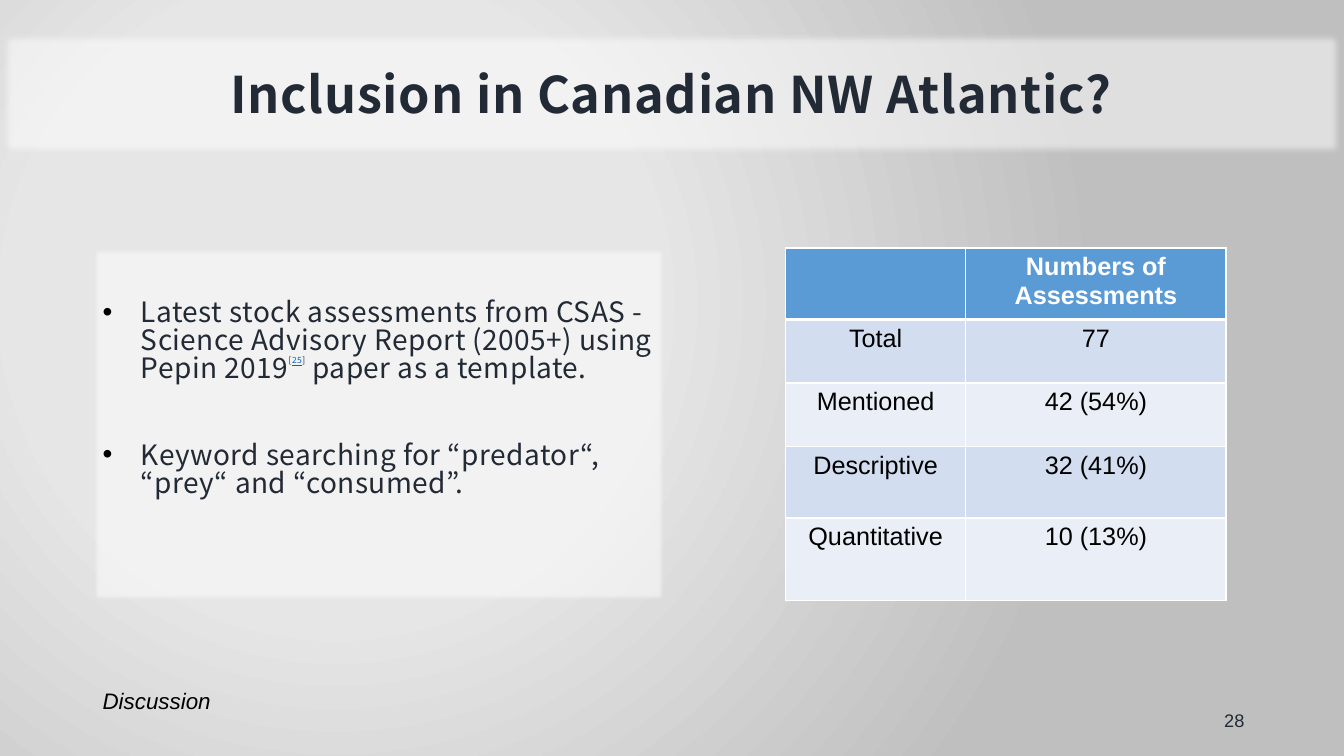
from lxml import etree
from pptx import Presentation
from pptx.dml.color import RGBColor
from pptx.enum.shapes import MSO_SHAPE as Shape
from pptx.enum.text import MSO_ANCHOR as Anchor, PP_ALIGN as Align
from pptx.oxml import parse_xml
from pptx.oxml.ns import nsdecls, qn
from pptx.util import Inches, Pt

# Content
COLORS = {"ink": "222A35", "black": "000000", "white": "FFFFFF", "link": "0563C1",
          "header": "5B9BD5", "band_dark": "D2DEEF", "band_light": "EAEFF7"}
GRADIENT = [(0, "E8E7E7"), (41, "E7E6E6"), (100, "C0BFBF")]
HEADING_FONT, PLAIN_FONT = "Noto Sans CJK JP", "Arial"

TITLE = {"size": 36, "name": HEADING_FONT, "color": "ink", "bold": True, "spacing": 0.5}
BODY = {"size": 20, "name": HEADING_FONT, "color": "ink", "spacing": 0.3}
CITATION = {**BODY, "size": 10.5, "raised": 100}
CITATION_LINK = {**CITATION, "color": "link", "underline": True}
CELL = {"size": 18, "name": PLAIN_FONT, "color": "black", "bold": False}
HEADER_CELL = {**CELL, "color": "white", "bold": True}
FOOTER = {"size": 16, "name": PLAIN_FONT, "color": "black", "italic": True}
NUMBER = {"size": 13, "name": PLAIN_FONT, "color": "ink"}

TITLE_TEXT = "Inclusion in Canadian NW Atlantic?"
BULLETS = [
    [("Latest stock assessments from CSAS - Science Advisory Report (2005+) "
      "using Pepin 2019", BODY),
     ("[", CITATION), ("25", CITATION_LINK), ("]", CITATION),
     (" paper as a template.", BODY)],
    [("Keyword searching for “predator“, “prey“ and “consumed”.", BODY)],
]
ROWS = [("", "Numbers of Assessments"), ("Total", "77"), ("Mentioned", "42 (54%)"),
        ("Descriptive", "32 (41%)"), ("Quantitative", "10 (13%)")]
COLUMN_WIDTHS = [1.79, 2.58]
ROW_HEIGHTS = [0.71, 0.63, 0.63, 0.71, 0.82]


def add_span(para, text, style):
    span = para.add_run()
    span.text = text
    for key, value in style.items():
        if key == "color":
            span.font.color.rgb = RGBColor.from_string(COLORS[value])
        elif key == "size":
            span.font.size = Pt(value)
        elif key == "spacing":
            span.font._element.set("spc", str(round(value * 100)))
        elif key == "raised":
            span.font._element.set("baseline", str(value * 1000))
        else:
            setattr(span.font, key, value)


def add_panel(page, area, soft_edge):
    """Half-transparent white rectangle with a blurred rim."""
    panel = page.shapes.add_shape(Shape.RECTANGLE, *map(Inches, area))
    panel.fill.solid()
    panel.fill.fore_color.rgb = RGBColor.from_string(COLORS["white"])
    panel.line.fill.background()
    color = panel.fill._xPr.find(qn("a:solidFill"))[0]
    etree.SubElement(color, qn("a:alpha"), val="50000")
    panel._element.spPr.append(parse_xml(
        f'<a:effectLst {nsdecls("a")}><a:softEdge rad="{Pt(soft_edge)}"/></a:effectLst>'))
    panel.text_frame.word_wrap = True
    return panel.text_frame


def add_label(page, area, text, style, align, anchor):
    frame = page.shapes.add_textbox(*map(Inches, area)).text_frame
    frame.word_wrap = True
    frame.vertical_anchor = anchor
    frame.paragraphs[0].alignment = align
    add_span(frame.paragraphs[0], text, style)


def set_borders(cell, widths):
    props = cell._tc.get_or_add_tcPr()
    for index, (side, width) in enumerate(widths.items()):
        props.insert(index, parse_xml(
            f'<a:{side} {nsdecls("a")} w="{Pt(width)}"><a:solidFill>'
            f'<a:srgbClr val="{COLORS["white"]}"/></a:solidFill></a:{side}>'))


deck = Presentation()
deck.slide_width, deck.slide_height = Inches(13.33), Inches(7.5)
page = deck.slides.add_slide(deck.slide_layouts[6])

# Background: radial gradient
background = page.background.fill
background.gradient()
gradient = background._xPr.find(qn("a:gradFill"))
stops = "".join(f'<a:gs pos="{pos * 1000}"><a:srgbClr val="{color}"/></a:gs>'
                for pos, color in GRADIENT)
gradient.getparent().replace(gradient, parse_xml(
    f'<a:gradFill {nsdecls("a")} rotWithShape="1"><a:gsLst>{stops}</a:gsLst>'
    '<a:path path="circle"><a:fillToRect l="50000" t="80000" r="100000" b="100000"/>'
    '</a:path></a:gradFill>'))

# Bulleted panel
frame = add_panel(page, (0.92, 2.46, 5.67, 3.5), 2)
frame.vertical_anchor = Anchor.TOP
frame.margin_top = Inches(0.52)
for index, spans in enumerate(BULLETS):
    para = frame.add_paragraph() if index else frame.paragraphs[0]
    para.alignment = Align.LEFT
    para.line_spacing = 0.83
    if index:
        para.space_before = Pt(42)
    props = para._p.get_or_add_pPr()
    props.set("marL", str(Inches(0.38)))
    props.set("indent", str(-Inches(0.38)))
    for element in (f'<a:buClr {nsdecls("a")}><a:srgbClr val="{COLORS["black"]}"/></a:buClr>',
                    f'<a:buFont {nsdecls("a")} typeface="{PLAIN_FONT}"/>',
                    f'<a:buChar {nsdecls("a")} char="•"/>'):
        props.append(parse_xml(element))
    for text, style in spans:
        add_span(para, text, style)

# Assessment table
area = (7.79, 2.46, sum(COLUMN_WIDTHS), sum(ROW_HEIGHTS))
table = page.shapes.add_table(len(ROWS), len(COLUMN_WIDTHS), *map(Inches, area)).table
for column, width in zip(table.columns, COLUMN_WIDTHS):
    column.width = Inches(width)
for r, (texts, height) in enumerate(zip(ROWS, ROW_HEIGHTS)):
    table.rows[r].height = Inches(height)
    fill = "header" if r == 0 else "band_dark" if r % 2 else "band_light"
    for c, text in enumerate(texts):
        cell = table.cell(r, c)
        cell.fill.solid()
        cell.fill.fore_color.rgb = RGBColor.from_string(COLORS[fill])
        set_borders(cell, {"lnL": 1, "lnR": 1, "lnT": 3 if r == 1 else 1,
                           "lnB": 1 if r else 3})
        para = cell.text_frame.paragraphs[0]
        para.alignment = Align.CENTER
        if text:
            add_span(para, text, CELL if r else HEADER_CELL)

# Slide number, title band and section name
add_label(page, (11, 6.95, 1.44, 0.4), "28", NUMBER, Align.RIGHT, Anchor.MIDDLE)
frame = add_panel(page, (0, 0.3, 13.33, 1.25), 5)
frame.vertical_anchor = Anchor.MIDDLE
frame.paragraphs[0].alignment = Align.CENTER
add_span(frame.paragraphs[0], TITLE_TEXT, TITLE)
add_label(page, (0.92, 6.77, 1.57, 0.37), "Discussion", FOOTER, Align.LEFT, Anchor.TOP)

deck.save("out.pptx")
